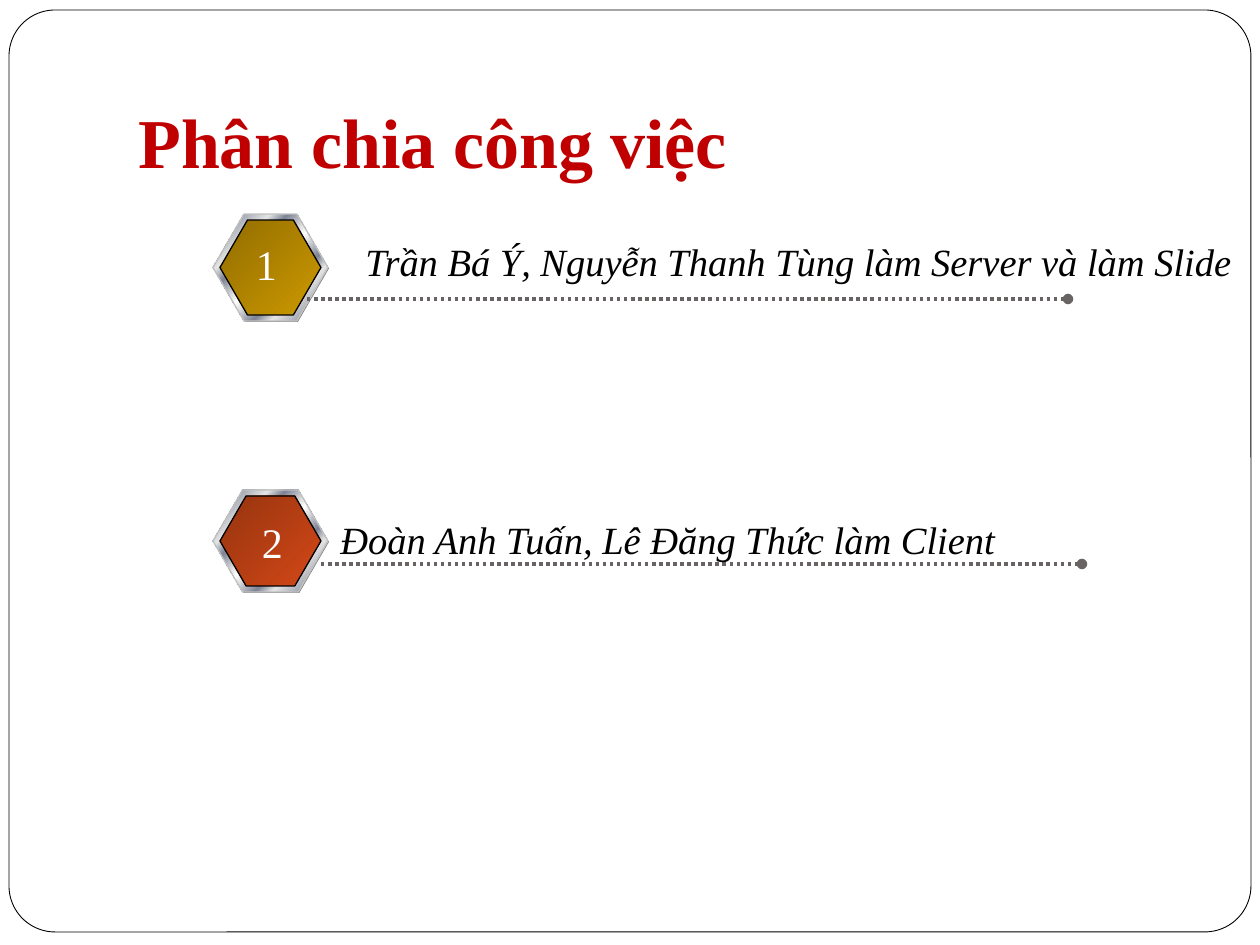
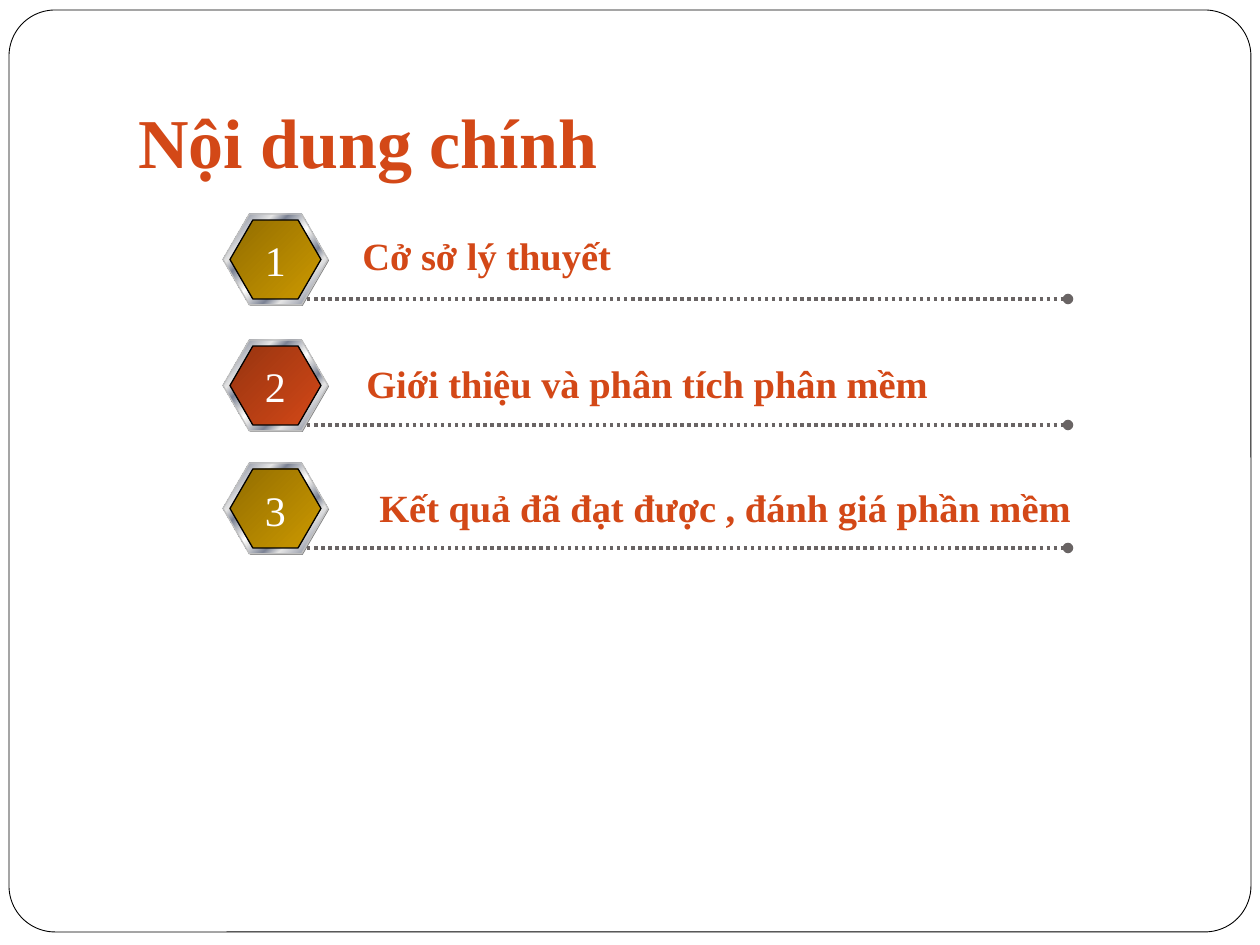
import pptx
import pptx.util
import pptx.dml.color
import pptx.enum.dml
import pptx.enum.shapes
import pptx.enum.text
import pptx.oxml
import pptx.oxml.ns
import lxml.etree

COLORS = {
    "paper": "FFFFFF", "ink": "000000", "title": "C00000", "accent": "D34817",
    "rust": "973410", "gold": "CC9900", "bronze": "926D00", "dots": "696464",
    "shade": "808080", "rim": "C0C0C0", "silver": "E6E6E6", "steel": "7D8496",
}
FONT = "Times New Roman"
METAL = [(0, "silver"), (7, "steel"), (26, "silver"), (34, "steel"), (46, "silver"), (50, "paper"),
         (54, "silver"), (66, "steel"), (74, "silver"), (93, "steel"), (100, "silver")]
CORES = [[(0, "bronze"), (100, "gold")], [(0, "rust"), (100, "accent")]]

SLIDES = [
    {
        "title": "Phân chia công việc", "title_color": "title",
        "label_format": {"color": "ink", "italic": True},
        "badge_left": 213, "badge_width": 115,
        "rows": [
            {"text": "Trần Bá Ý, Nguyễn Thanh Tùng làm Server và làm Slide",
             "label": (353, 232, 982), "number": (242, 232), "badge": (214, 107), "line": (307, 299)},
            {"text": "Đoàn Anh Tuấn, Lê Đăng Thức làm Client",
             "label": (328, 510, 689), "number": (248, 510), "badge": (490, 102), "line": (321, 564)},
        ],
    },
    {
        "title": "Nội dung chính", "title_color": "accent",
        "label_format": {"color": "accent", "bold": True},
        "badge_left": 223, "badge_width": 105,
        "rows": [
            {"text": "Cở sở lý thuyết",
             "label": (350, 226, 280), "number": (251, 228), "badge": (214, 91), "line": (307, 299)},
            {"text": "Giới thiệu và phân tích phân mềm",
             "label": (354, 354, 595), "number": (251, 354), "badge": (340, 91), "line": (307, 425)},
            {"text": "Kết quả đã đạt được , đánh giá phần mềm",
             "label": (367, 478, 780), "number": (251, 478), "badge": (463, 91), "line": (307, 548)},
        ],
    },
]

SCALE = 914400 / 126
SLIDE_SIZE = (1260, 945)
FRAME = (9, 10, 1242, 922)
TITLE_BOX = (126, 38, 1071, 157)
TEXT_HEIGHT = 60
NUMBER_WIDTH = 49
LINE_LENGTH = 761
CORE_INSET = (7, 6)
SHAPES = pptx.enum.shapes.MSO_SHAPE
ALIGN = pptx.enum.text.PP_ALIGN
ANCHOR = pptx.enum.text.MSO_ANCHOR


def px(*lengths):
    return [round(length * SCALE) for length in lengths]


def rgb(name):
    return pptx.dml.color.RGBColor.from_string(COLORS[name])


def add_text(slide, area, text, size, color, bold=False, italic=False,
             align=ALIGN.LEFT, anchor=ANCHOR.TOP, bottom=6):
    box = slide.shapes.add_textbox(*px(*area))
    frame = box.text_frame
    frame.word_wrap = True
    frame.vertical_anchor = anchor
    frame.margin_bottom = px(bottom)[0]
    para = frame.paragraphs[0]
    para.alignment = align
    span = para.add_run()
    span.text = text
    span.font.name = FONT
    span.font.size = pptx.util.Pt(size)
    span.font.bold = bold
    span.font.italic = italic
    span.font.color.rgb = rgb(color)


def set_gradient(shape, stops):
    stop_xml = "".join(
        f'<a:gs pos="{position * 1000}"><a:srgbClr val="{COLORS[name]}"/></a:gs>'
        for position, name in stops)
    gradient = pptx.oxml.parse_xml(
        f'<a:gradFill {pptx.oxml.ns.nsdecls("a")} rotWithShape="1"><a:gsLst>{stop_xml}</a:gsLst>'
        '<a:lin ang="2700000" scaled="1"/></a:gradFill>')
    shape._element.spPr.find(pptx.oxml.ns.qn("a:prstGeom")).addnext(gradient)


def add_outline(parent, kind, area, adjustment, fill, line=None, weight=0.75):
    shape = parent.shapes.add_shape(kind, *px(*area))
    shape.adjustments[0] = adjustment
    shape.shadow.inherit = False
    if isinstance(fill, list):
        set_gradient(shape, fill)
    else:
        shape.fill.solid()
        shape.fill.fore_color.rgb = rgb(fill)
    if line:
        shape.line.color.rgb = rgb(line)
        shape.line.width = pptx.util.Pt(weight)
    else:
        shape.line.fill.background()


def add_badge(slide, left, top, width, height, core):
    group = slide.shapes.add_group_shape()
    dx, dy = CORE_INSET
    layers = [
        ((left + 1, top + 1, width, height), "shade", None),
        ((left, top, width, height), METAL, "rim"),
        ((left + dx, top + dy, width - 2 * dx, height - 2 * dy), core, "ink"),
    ]
    for area, fill, line in layers:
        add_outline(group, SHAPES.HEXAGON, area, 0.29, fill, line)


def add_dotted_line(slide, left, top):
    connector = slide.shapes.add_connector(
        pptx.enum.shapes.MSO_CONNECTOR.STRAIGHT, *px(left, top, left + LINE_LENGTH, top))
    connector.line.color.rgb = rgb("dots")
    connector.line.width = pptx.util.Pt(2)
    connector.line.dash_style = pptx.enum.dml.MSO_LINE.ROUND_DOT
    line = connector.line._get_or_add_ln()
    lxml.etree.SubElement(line, pptx.oxml.ns.qn("a:tailEnd"), type="oval")
    lxml.etree.SubElement(connector._element.spPr, pptx.oxml.ns.qn("a:effectLst"))


def add_page(deck, content):
    page = deck.slides.add_slide(deck.slide_layouts[6])
    add_outline(page, SHAPES.ROUNDED_RECTANGLE, FRAME, 0.05, "paper", "ink", 0.5)
    add_text(page, TITLE_BOX, content["title"], 40, content["title_color"],
             bold=True, anchor=ANCHOR.BOTTOM, bottom=13)
    for index, row in enumerate(content["rows"]):
        top, height = row["badge"]
        add_badge(page, content["badge_left"], top, content["badge_width"], height,
                  CORES[index % len(CORES)])
        add_dotted_line(page, *row["line"])
        add_text(page, (*row["label"], TEXT_HEIGHT), row["text"], 22, **content["label_format"])
        add_text(page, (*row["number"], NUMBER_WIDTH, TEXT_HEIGHT), str(index + 1), 24, "paper",
                 align=ALIGN.CENTER)


def main():
    deck = pptx.Presentation()
    deck.slide_width, deck.slide_height = px(*SLIDE_SIZE)
    for content in SLIDES:
        add_page(deck, content)
    deck.save("out.pptx")


if __name__ == "__main__":
    main()
